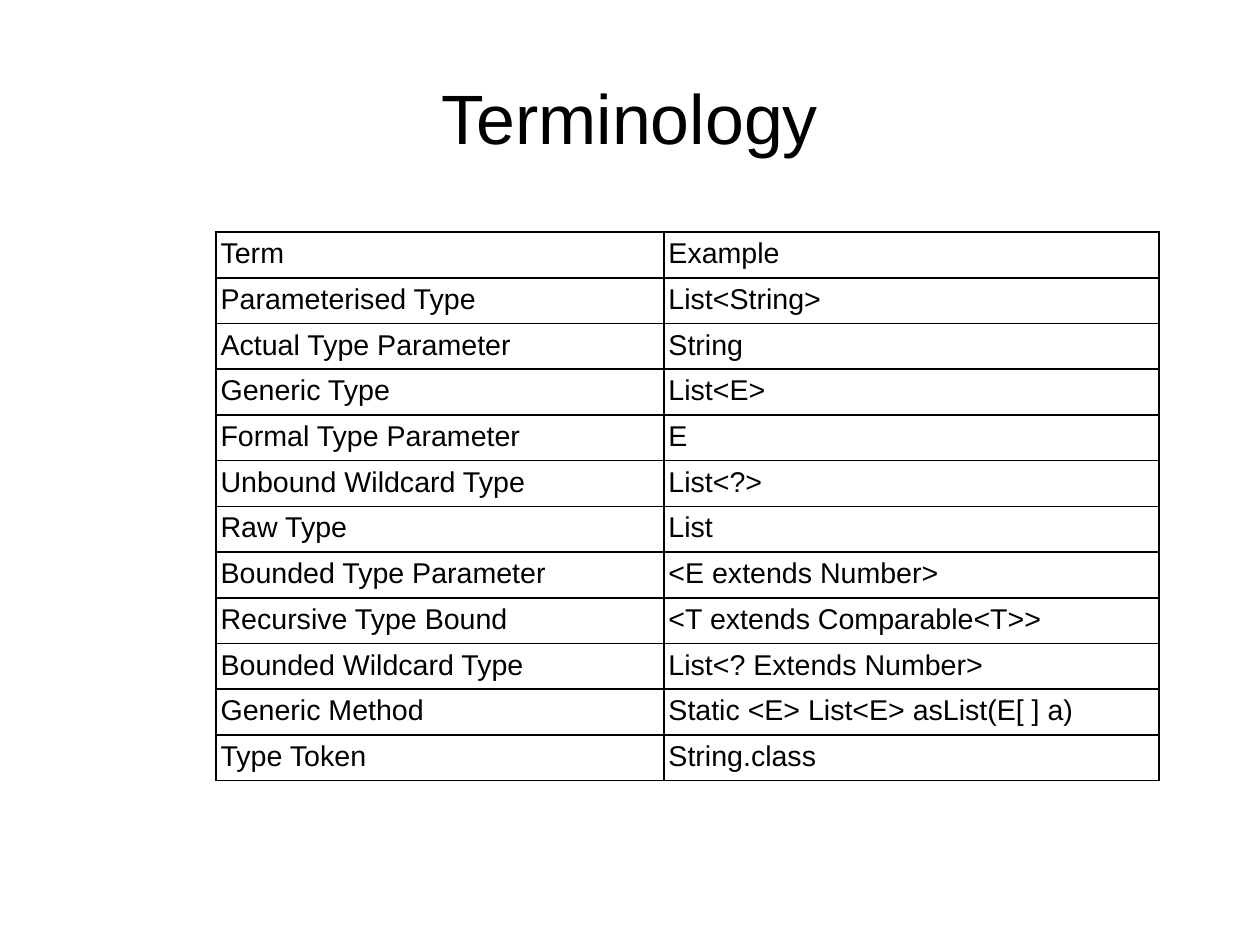
from dataclasses import dataclass

from lxml import etree
from pptx import Presentation
from pptx.dml.color import RGBColor
from pptx.enum.text import MSO_ANCHOR, PP_ALIGN
from pptx.oxml.ns import qn
from pptx.util import Cm, Inches, Pt

CENTER = PP_ALIGN.CENTER
LEFT = PP_ALIGN.LEFT
MIDDLE = MSO_ANCHOR.MIDDLE
TITLE_ONLY = 5


@dataclass(frozen=True)
class Theme:
    font: str = "Arial"
    ink: str = "000000"
    paper: str = "FFFFFF"
    title: int = 44
    body: int = 18
    rule: float = 1.13


THEME = Theme()
WIDTH, HEIGHT = Cm(28), Cm(21)
TITLE_BOX = (0.55, 0.38, 9.92, 1.28)
TABLE_BOX = (1.89, 2.03, 8.25, 4.8)
SHARES = (0.475, 0.525)
PAD_X, PAD_Y = 0.04, 0.05

TERMS = [
    ("Term", "Example"),
    ("Parameterised Type", "List<String>"),
    ("Actual Type Parameter", "String"),
    ("Generic Type", "List<E>"),
    ("Formal Type Parameter", "E"),
    ("Unbound Wildcard Type", "List<?>"),
    ("Raw Type", "List"),
    ("Bounded Type Parameter", "<E extends Number>"),
    ("Recursive Type Bound", "<T extends Comparable<T>>"),
    ("Bounded Wildcard Type", "List<? Extends Number>"),
    ("Generic Method", "Static <E> List<E> asList(E[ ] a)"),
    ("Type Token", "String.class"),
]


def write(frame, text, size, align):
    frame.text = text
    para = frame.paragraphs[0]
    para.alignment = align
    para.font.name = THEME.font
    para.font.size = Pt(size)
    para.font.color.rgb = RGBColor.from_string(THEME.ink)


def add_title(slide, box, text):
    title = slide.shapes.title
    title.left, title.top, title.width, title.height = map(Inches, box)
    frame = title.text_frame
    frame.margin_left = frame.margin_right = 0
    frame.margin_top = frame.margin_bottom = 0
    frame.vertical_anchor = MIDDLE
    write(frame, text, THEME.title, CENTER)


def add_edges(cell):
    props = cell._tc.get_or_add_tcPr()
    for side in ("lnL", "lnR", "lnT", "lnB"):
        line = etree.SubElement(props, qn("a:" + side), w=str(Pt(THEME.rule)))
        fill = etree.SubElement(line, qn("a:solidFill"))
        etree.SubElement(fill, qn("a:srgbClr"), val=THEME.ink)


def fill_cell(cell, text):
    cell.margin_left = cell.margin_right = Inches(PAD_X)
    cell.margin_top = cell.margin_bottom = Inches(PAD_Y)
    write(cell.text_frame, text, THEME.body, LEFT)
    # Edges come before the fill in the cell's properties
    add_edges(cell)
    cell.fill.solid()
    cell.fill.fore_color.rgb = RGBColor.from_string(THEME.paper)


def add_terms(slide, box, rows):
    left, top, width, height = map(Inches, box)
    table = slide.shapes.add_table(
        len(rows), len(SHARES), left, top, width, height).table
    table.first_row = table.horz_banding = False
    for column, share in zip(table.columns, SHARES):
        column.width = int(width * share)
    for row, texts in zip(table.rows, rows):
        for cell, text in zip(row.cells, texts):
            fill_cell(cell, text)


def main():
    deck = Presentation()
    deck.slide_width, deck.slide_height = WIDTH, HEIGHT
    slide = deck.slides.add_slide(deck.slide_layouts[TITLE_ONLY])
    # Heading
    add_title(slide, TITLE_BOX, "Terminology")
    # Terms with their examples
    add_terms(slide, TABLE_BOX, TERMS)
    deck.save("out.pptx")


if __name__ == "__main__":
    main()
